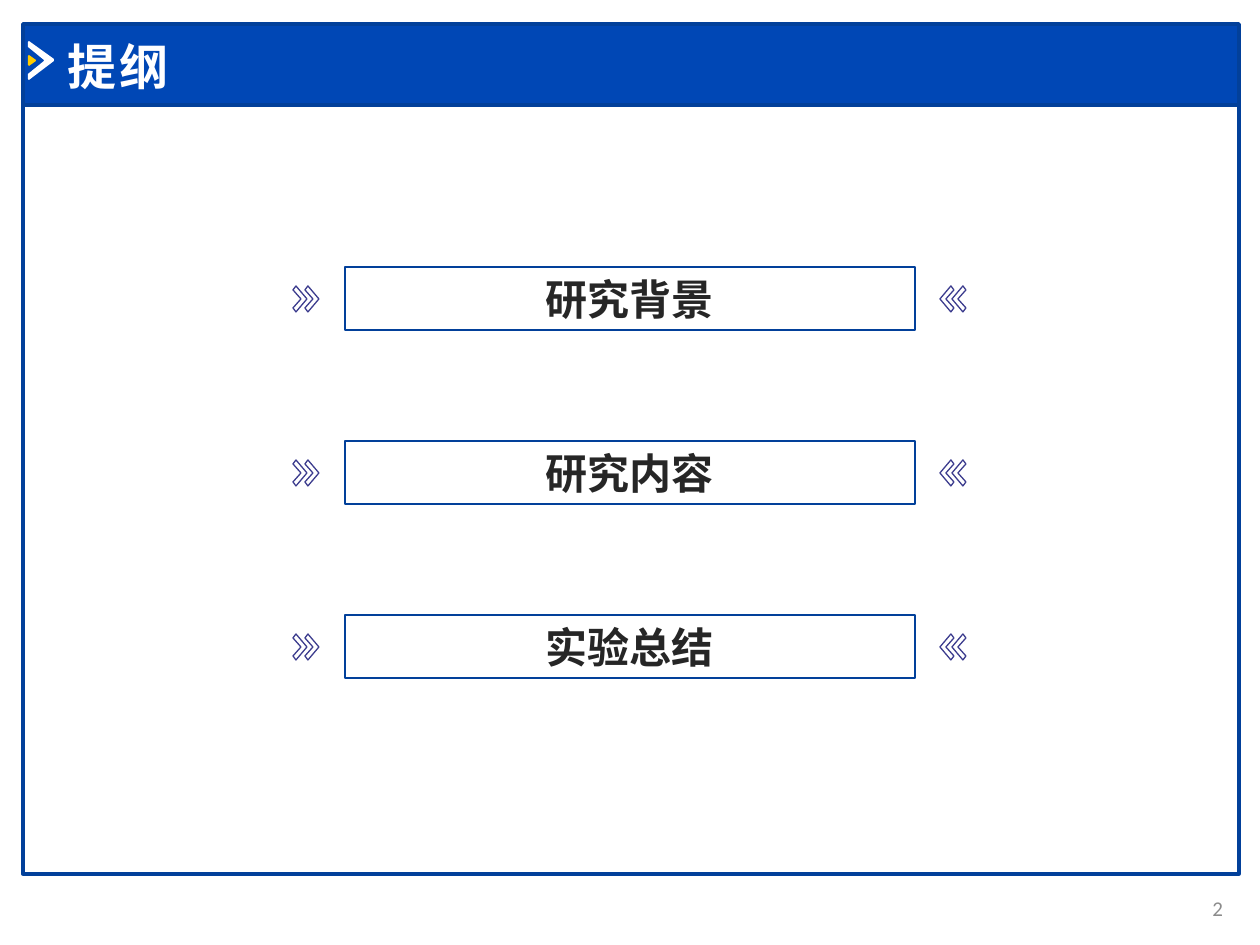
from dataclasses import dataclass

from lxml.etree import SubElement
from pptx import Presentation
from pptx.dml.color import RGBColor
from pptx.enum.shapes import MSO_SHAPE as Shape
from pptx.enum.text import MSO_ANCHOR as Anchor, PP_ALIGN as Align
from pptx.oxml.ns import qn
from pptx.util import Emu, Pt

SCALE = 914400 / 126
NAVY, BLUE, VIOLET = "02409A", "0047B5", "3C3C8E"
WHITE, YELLOW, INK, GREY = "FFFFFF", "FFCC00", "262626", "8C8C8C"
CJK = "Noto Sans CJK SC"
CHEVRON = [(3, 0), (0, 4), (8, 13), (0, 22), (3, 26), (14, 13)]
HEADER_ARROW = [(28, 42), (29, 41), (54, 59), (54, 61), (29, 80),
                (28, 79), (28, 74), (44, 61), (44, 60), (28, 47)]
HEADER_DOT = [(28, 56), (29, 55), (36, 60), (36, 61), (29, 66), (28, 65)]


@dataclass
class Box:
    """A rectangle on the slide in px."""
    left: int
    top: int
    width: int
    height: int

    def emu(self) -> list[Emu]:
        """Return the four lengths in EMU."""
        return [px(v) for v in (self.left, self.top, self.width, self.height)]


@dataclass
class Topic:
    """One outline entry and the top of its row."""
    text: str
    top: int


TOPICS = [Topic(text, 267 + 174 * i)
          for i, text in enumerate(["研究背景", "研究内容", "实验总结"])]


def px(value: int) -> Emu:
    """Turn px into EMU."""
    return Emu(round(value * SCALE))


def rgb(value: str) -> RGBColor:
    """Turn a hex string into a colour."""
    return RGBColor.from_string(value)


def paint(sp, fill: str | None = None, line: str | None = None, width: float = 1):
    """Set fill and line of a shape and drop its shadow."""
    sp.shadow.inherit = False
    if fill:
        sp.fill.solid()
        sp.fill.fore_color.rgb = rgb(fill)
    else:
        sp.fill.background()
    if line:
        sp.line.color.rgb = rgb(line)
        sp.line.width = Pt(width)
    else:
        sp.line.fill.background()
    return sp


def add_rect(s, box: Box, **style):
    """Draw a rectangle."""
    return paint(s.shapes.add_shape(Shape.RECTANGLE, *box.emu()), **style)


def add_polygon(s, points: list[tuple[int, int]], **style):
    """Draw a closed outline through the points."""
    builder = s.shapes.build_freeform(*points[0], scale=SCALE)
    builder.add_line_segments(points[1:], close=True)
    return paint(builder.convert_to_shape(), **style)


def add_chevron(s, x: int, top: int, direction: int) -> None:
    """Draw an open chevron pointing right (1) or left (-1)."""
    points = [(x + direction * dx, top + dy) for dx, dy in CHEVRON]
    add_polygon(s, points, line=VIOLET, width=0.75)


def write(sp, text: str, *, size: int, color: str, font: str = "Calibri",
          bold: bool = False, align=Align.LEFT, spacing: int = 0, inset_y: int = 6) -> None:
    """Put one formatted line of text into a shape."""
    tf = sp.text_frame
    tf.word_wrap = True
    tf.vertical_anchor = Anchor.MIDDLE
    tf.margin_left = tf.margin_right = px(13)
    tf.margin_top = tf.margin_bottom = px(inset_y)
    p = tf.paragraphs[0]
    p.alignment = align
    r = p.add_run()
    r.text = text
    r.font.size = Pt(size)
    r.font.bold = bold
    r.font.color.rgb = rgb(color)
    r.font.name = font
    props = r.font._element
    SubElement(props, qn("a:ea")).set("typeface", CJK)
    if spacing:
        props.set("spc", str(spacing * 100))


def add_header(s) -> None:
    """Draw the page frame, the band and the title on it."""
    add_rect(s, Box(23, 105, 1216, 769), line=NAVY, width=2)
    add_rect(s, Box(23, 24, 1216, 81), fill=BLUE, line=NAVY, width=2)
    add_polygon(s, HEADER_ARROW, fill=WHITE)
    add_polygon(s, HEADER_DOT, fill=YELLOW)
    title = s.shapes.title
    title.left, title.top, title.width, title.height = Box(54, 30, 1043, 72).emu()
    write(title, "提纲", size=28, color=WHITE, bold=True, spacing=2)
    title._element.getparent().append(title._element)


def add_topic(s, topic: Topic) -> None:
    """Draw a framed topic with double chevrons on both sides."""
    sp = add_rect(s, Box(345, topic.top, 570, 63), line=NAVY, width=1.5)
    write(sp, topic.text, size=24, color=INK, font=CJK, bold=True,
          align=Align.CENTER, inset_y=0)
    for x, direction in [(293, 1), (305, 1), (966, -1), (954, -1)]:
        add_chevron(s, x, topic.top + 19, direction)


def main() -> None:
    """Build and save the slide."""
    prs = Presentation()
    prs.slide_width, prs.slide_height = px(1260), px(945)
    s = prs.slides.add_slide(prs.slide_layouts[5])
    add_header(s)
    for topic in TOPICS:
        add_topic(s, topic)
    number = s.shapes.add_textbox(*Box(1162, 883, 74, 50).emu())
    write(number, "2", size=12, color=GREY, align=Align.RIGHT)
    prs.save("out.pptx")


if __name__ == "__main__":
    main()
